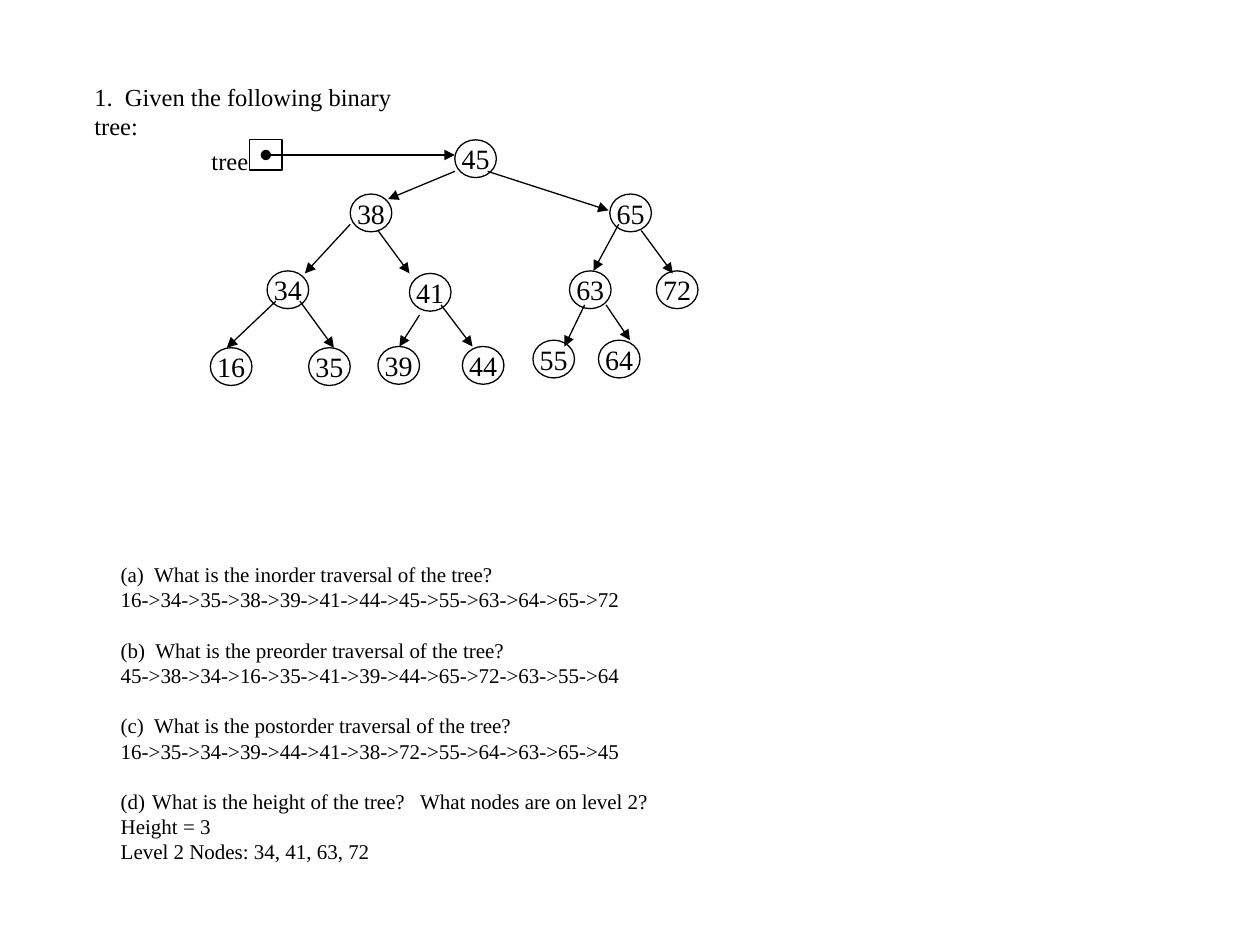
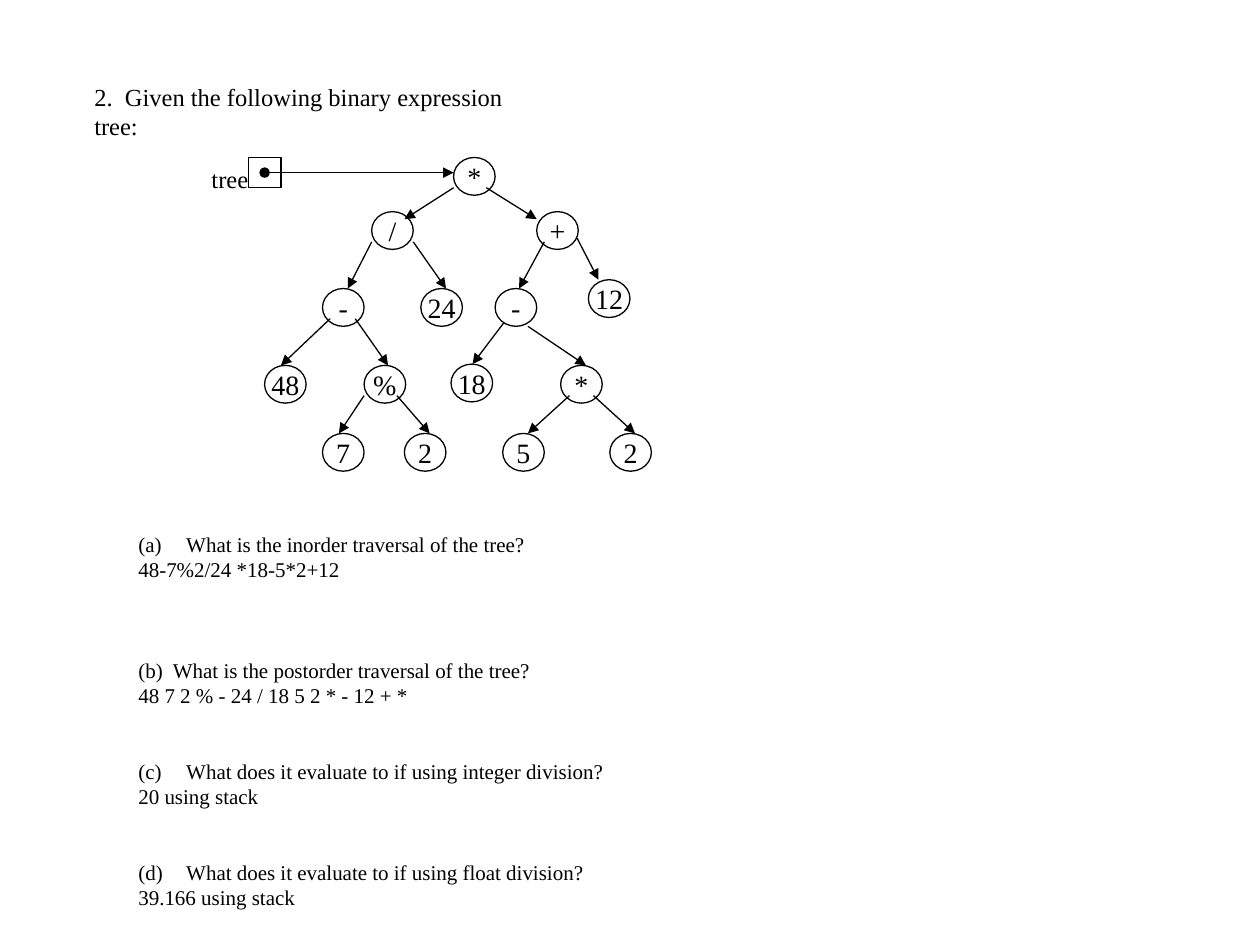
from lxml import etree
from pptx import Presentation
from pptx.dml.color import RGBColor
from pptx.enum.shapes import MSO_CONNECTOR, MSO_SHAPE
from pptx.enum.text import MSO_ANCHOR, PP_ALIGN
from pptx.oxml.ns import qn
from pptx.util import Inches, Pt

# Shared look
COLORS = {"ink": "000000", "paper": "FFFFFF"}
FONT = "Times New Roman"
SIZES = {"heading": 14, "label": 14, "node": 16, "question": 12}
BLANK_LINE = 14.4
NODE_W, NODE_H = 0.33, 0.3
ROOT_BOX_W, ROOT_BOX_H = 0.26, 0.24
FRAMES = {
    "node": {"word_wrap": False, "vertical_anchor": MSO_ANCHOR.MIDDLE},
    "label": {"word_wrap": False, "vertical_anchor": MSO_ANCHOR.TOP},
    "block": {"word_wrap": True, "vertical_anchor": MSO_ANCHOR.TOP},
}

# Nodes: value, left, top. Branches: from x, y, to x, y.
# Questions: blank lines above, number, hanging indent, text.
EXERCISES = [
    {
        "heading": ("1.  Given the following binary tree:", 2.88),
        "root": (1.98, 1.11, 3.61),
        "nodes": [
            ("45", 3.61, 1.11),
            ("38", 2.78, 1.54), ("65", 4.84, 1.54),
            ("34", 2.12, 2.15), ("41", 3.25, 2.17),
            ("63", 4.52, 2.15), ("72", 5.21, 2.15),
            ("16", 1.67, 2.76), ("35", 2.45, 2.76),
            ("39", 3, 2.75), ("44", 3.67, 2.75),
            ("55", 4.23, 2.7), ("64", 4.75, 2.7),
        ],
        "branches": [
            (3.61, 1.36, 3.08, 1.58), (3.87, 1.36, 4.83, 1.67),
            (2.78, 1.78, 2.42, 2.17), (3, 1.83, 3.25, 2.17),
            (4.91, 1.78, 4.71, 2.15), (5.09, 1.83, 5.34, 2.17),
            (2.19, 2.39, 1.8, 2.76), (2.38, 2.39, 2.65, 2.76),
            (3.33, 2.5, 3.17, 2.75), (3.5, 2.42, 3.75, 2.75),
            (4.64, 2.42, 4.48, 2.75), (4.81, 2.42, 5, 2.7),
        ],
        "questions_at": (0.86, 4.41, 4.45, 2.73),
        "questions": [
            (0, None, 0, "(a)  What is the inorder traversal of the tree?"),
            (0, None, 0, "16->34->35->38->39->41->44->45->55->63->64->65->72"),
            (1, None, 0, "(b)  What is the preorder traversal of the tree?"),
            (0, None, 0, "45->38->34->16->35->41->39->44->65->72->63->55->64"),
            (1, None, 0, "(c)  What is the postorder traversal of the tree?"),
            (0, None, 0, "16->35->34->39->44->41->38->72->55->64->63->65->45"),
            (1, 4, 0.25, "What is the height of the tree?   What nodes are on level 2?"),
            (0, None, 0, "Height = 3"),
            (0, None, 0, "Level 2 Nodes: 34, 41, 63, 72"),
        ],
    },
    {
        "heading": ("2.  Given the following binary expression tree:", 3.76),
        "root": (1.97, 1.25, 3.6),
        "nodes": [
            ("*", 3.6, 1.25),
            ("/", 2.95, 1.68), ("+", 4.26, 1.68),
            ("-", 2.56, 2.29), ("24", 3.34, 2.29),
            ("-", 3.93, 2.29), ("12", 4.67, 2.22),
            ("48", 2.1, 2.9), ("%", 2.89, 2.9),
            ("18", 3.58, 2.89), ("*", 4.45, 2.9),
            ("7", 2.56, 3.44), ("2", 3.21, 3.44),
            ("5", 3.99, 3.44), ("2", 4.84, 3.44),
        ],
        "branches": [
            (3.6, 1.49, 3.21, 1.74), (3.86, 1.49, 4.26, 1.74),
            (2.95, 1.92, 2.76, 2.29), (3.28, 1.92, 3.54, 2.29),
            (4.32, 1.92, 4.12, 2.29), (4.58, 1.89, 4.75, 2.22),
            (2.62, 2.53, 2.23, 2.9), (2.82, 2.53, 3.08, 2.9),
            (4, 2.56, 3.75, 2.89), (4.19, 2.59, 4.65, 2.9),
            (2.89, 3.14, 2.69, 3.44), (3.15, 3.14, 3.41, 3.44),
            (4.52, 3.14, 4.19, 3.44), (4.71, 3.14, 5.04, 3.44),
        ],
        "questions_at": (1, 4.17, 4.4, 3.2),
        "questions": [
            (0, 1, 0.38, "What is the inorder traversal of the tree?"),
            (0, None, 0, "48-7%2/24 *18-5*2+12"),
            (3, None, 0, "(b)  What is the postorder traversal of the tree?"),
            (0, None, 0, "48 7 2 % - 24 / 18 5 2 * - 12 + *"),
            (2, 3, 0.38, "What does it evaluate to if using integer division?"),
            (0, None, 0, "20 using stack"),
            (2, 4, 0.38, "What does it evaluate to if using float division?"),
            (0, None, 0, "39.166 using stack"),
        ],
    },
]


def color(name):
    return RGBColor.from_string(COLORS[name])


def write(paragraph, text, role):
    run = paragraph.add_run()
    run.text = text
    run.font.color.rgb = color("ink")
    for attribute, value in {"name": FONT, "size": Pt(SIZES[role])}.items():
        setattr(run.font, attribute, value)


def set_frame(shape, kind):
    for attribute, value in FRAMES[kind].items():
        setattr(shape.text_frame, attribute, value)
    return shape.text_frame


def add_text(slide, box, kind):
    return set_frame(slide.shapes.add_textbox(*map(Inches, box)), kind)


def add_outline(slide, preset, left, top, width, height):
    outline = slide.shapes.add_shape(preset, *map(Inches, (left, top, width, height)))
    outline.shadow.inherit = False
    outline.fill.background()
    outline.line.color.rgb = color("ink")
    outline.line.width = Pt(0.75)
    return outline


def add_arrow(slide, ends, head=None):
    arrow = slide.shapes.add_connector(MSO_CONNECTOR.STRAIGHT, *map(Inches, ends))
    arrow.line.color.rgb = color("ink")
    arrow.line.width = Pt(0.75)
    line_xml = arrow.line._get_or_add_ln()
    if head:
        etree.SubElement(line_xml, qn("a:headEnd"), type=head)
    etree.SubElement(line_xml, qn("a:tailEnd"), type="triangle")
    etree.SubElement(arrow._element.spPr, qn("a:effectLst"))


def number(paragraph, start, indent):
    properties = paragraph._p.get_or_add_pPr()
    properties.set("marL", str(Inches(indent)))
    properties.set("indent", str(-Inches(indent)))
    etree.SubElement(properties, qn("a:buFont"), typeface=FONT)
    etree.SubElement(properties, qn("a:buAutoNum"), type="alphaLcParenBoth", startAt=str(start))


def add_tree(slide, exercise):
    for value, left, top in exercise["nodes"]:
        node = add_outline(slide, MSO_SHAPE.OVAL, left, top, NODE_W, NODE_H)
        paragraph = set_frame(node, "node").paragraphs[0]
        paragraph.alignment = PP_ALIGN.CENTER
        write(paragraph, value, "node")
    for branch in exercise["branches"]:
        add_arrow(slide, branch)

    # Root pointer
    left, top, root_left = exercise["root"]
    add_outline(slide, MSO_SHAPE.RECTANGLE, left, top, ROOT_BOX_W, ROOT_BOX_H)
    label = add_text(slide, (1.58, top, 0.49, 0.33), "label")
    write(label.paragraphs[0], "tree", "label")
    middle = top + ROOT_BOX_H / 2
    add_arrow(slide, (left + ROOT_BOX_W / 2, middle, root_left, middle), head="oval")


def add_questions(slide, exercise):
    block = add_text(slide, exercise["questions_at"], "block")
    for index, (blanks, start, indent, text) in enumerate(exercise["questions"]):
        paragraph = block.add_paragraph() if index else block.paragraphs[0]
        if blanks:
            paragraph.space_before = Pt(blanks * BLANK_LINE)
        if start:
            number(paragraph, start, indent)
        write(paragraph, text, "question")


def main():
    deck = Presentation()
    deck.slide_width, deck.slide_height = Inches(10), Inches(7.5)
    for exercise in EXERCISES:
        slide = deck.slides.add_slide(deck.slide_layouts[6])
        slide.background.fill.solid()
        slide.background.fill.fore_color.rgb = color("paper")
        heading, width = exercise["heading"]
        write(add_text(slide, (0.65, 0.6, width, 0.33), "block").paragraphs[0], heading, "heading")
        add_questions(slide, exercise)
        add_tree(slide, exercise)
    deck.save("out.pptx")


if __name__ == "__main__":
    main()
